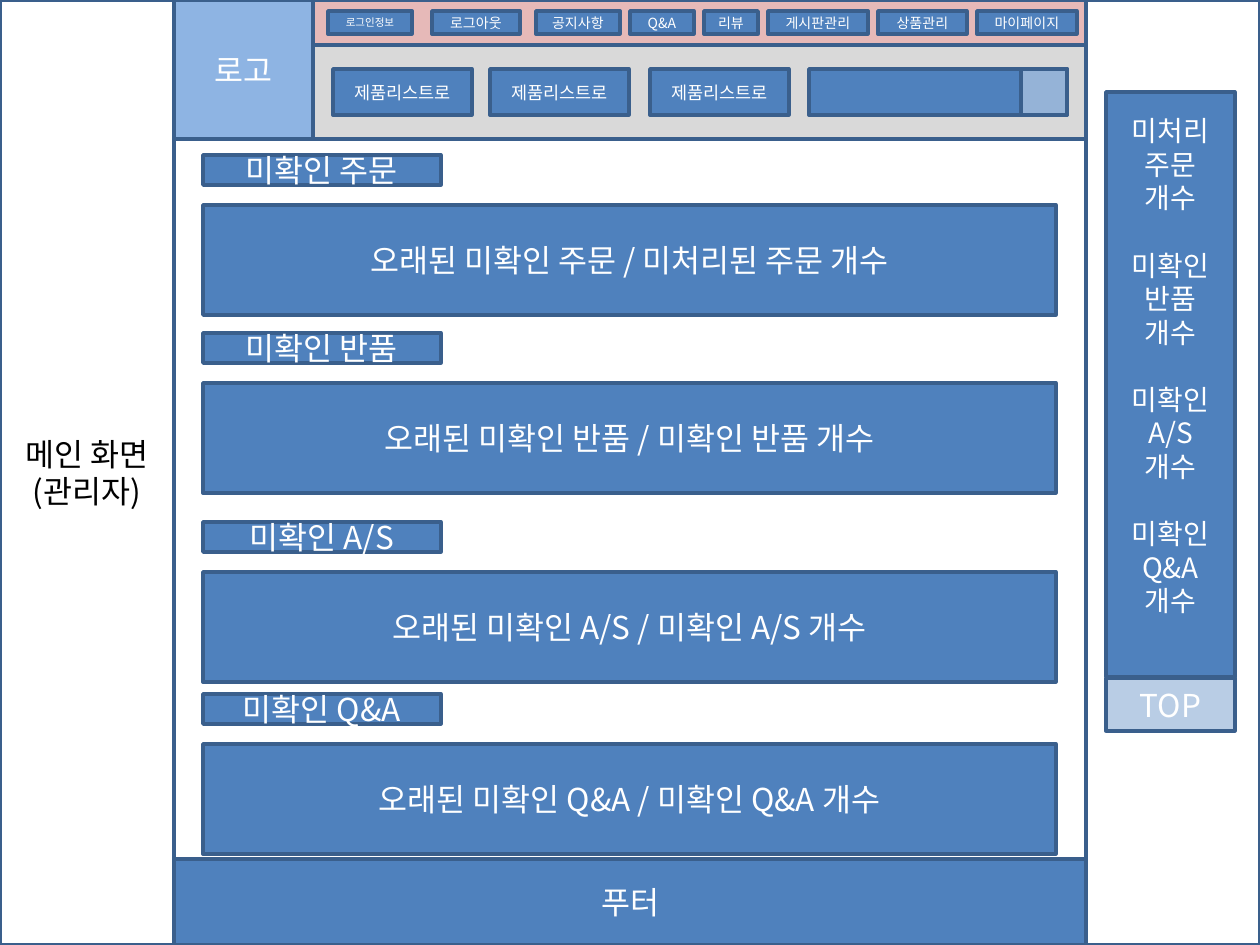
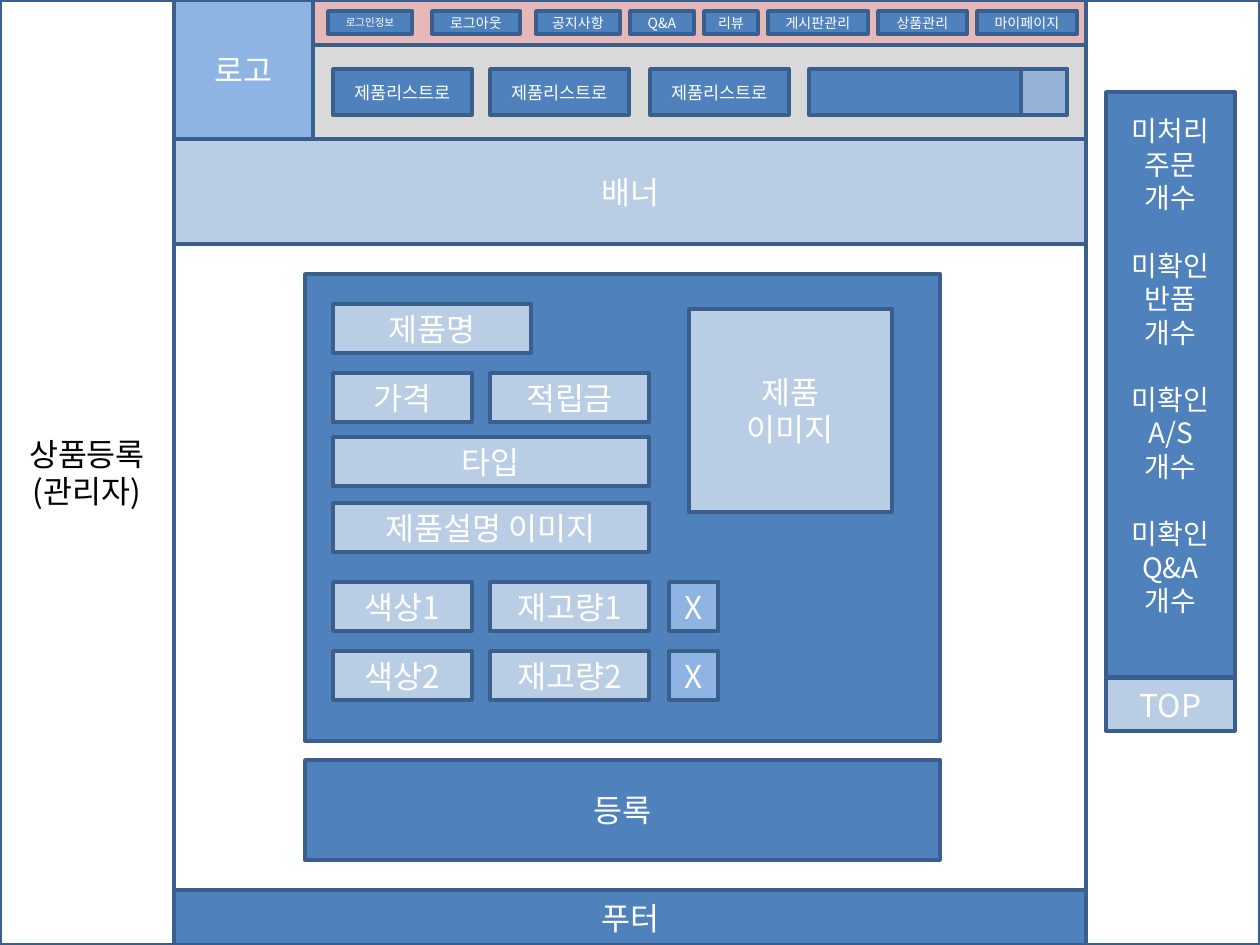
"""Build two wireframe slides for the administrator pages of an online shop."""
from dataclasses import dataclass

from lxml import etree
from pptx import Presentation
from pptx.dml.color import RGBColor
from pptx.enum.shapes import MSO_SHAPE
from pptx.enum.text import MSO_ANCHOR, PP_ALIGN
from pptx.oxml.ns import qn
from pptx.util import Pt

RECTANGLE = MSO_SHAPE.RECTANGLE
MIDDLE = MSO_ANCHOR.MIDDLE
CENTER = PP_ALIGN.CENTER
EMU_PER_PIXEL = 914400 / 126


@dataclass(frozen=True)
class Theme:
    font: str = "Noto Sans CJK KR"
    white: str = "FFFFFF"
    ink: str = "000000"
    outline: str = "3A5F8C"
    blue: str = "4F81BD"
    sky: str = "8EB4E3"
    pale: str = "B9CDE5"
    steel: str = "95B3D7"
    gray: str = "D9D9D9"
    pink: str = "E6B9B8"
    body: float = 18
    counter: float = 16
    menu: float = 10
    nav: float = 8
    login: float = 6
    border: float = 2


THEME = Theme()
PAGE_WIDTH, PAGE_HEIGHT = 1260, 945
SIDE_WIDTH = 174
SITE_WIDTH = PAGE_WIDTH - 2 * SIDE_WIDTH
HEADER_HEIGHT = 139
UTILITY_HEIGHT = 45

NAV_START = 328
NAV = [
    ("로그인정보", 84, 20, THEME.login),
    ("로그아웃", 88, 16, THEME.nav),
    ("공지사항", 84, 10, THEME.nav),
    ("Q&A", 64, 10, THEME.nav),
    ("리뷰", 54, 10, THEME.nav),
    ("게시판관리", 100, 10, THEME.nav),
    ("상품관리", 89, 10, THEME.nav),
    ("마이페이지", 100, 0, THEME.nav),
]
MENU = [("제품리스트로", x) for x in (333, 490, 650)]
COUNTERS = ["미처리 주문", "미확인 반품", "미확인 A/S", "미확인 Q&A"]

ORDER_SECTIONS = [
    ("미확인 주문", "오래된 미확인 주문 / 미처리된 주문 개수", 155),
    ("미확인 반품", "오래된 미확인 반품 / 미확인 반품 개수", 333),
    ("미확인 A/S", "오래된 미확인 A/S / 미확인 A/S 개수", 522),
    ("미확인 Q&A", "오래된 미확인 Q&A / 미확인 Q&A 개수", 694),
]

FIELD_HEIGHT = 49
FIRST, SECOND, THIRD = 333, 490, 669
FORM_ROWS = [
    (304, [("제품명", FIRST, 198, THEME.pale)]),
    (373, [("가격", FIRST, 139, THEME.pale), ("적립금", SECOND, 159, THEME.pale)]),
    (437, [("타입", FIRST, 316, THEME.pale)]),
    (503, [("제품설명 이미지", FIRST, 316, THEME.pale)]),
] + [
    (y, [(f"색상{number}", FIRST, 139, THEME.pale),
         (f"재고량{number}", SECOND, 159, THEME.pale),
         ("X", THIRD, FIELD_HEIGHT, THEME.sky)])
    for number, y in ((1, 582), (2, 651))
]


def px(length):
    return round(length * EMU_PER_PIXEL)


def write(paragraph, text, size, color):
    paragraph.alignment = CENTER
    run = paragraph.add_run()
    run.text = text
    run.font.size = Pt(size)
    run.font.name = THEME.font
    run.font.color.rgb = RGBColor.from_string(color)
    east_asian = etree.SubElement(run.font._element, qn("a:ea"))
    east_asian.set("typeface", THEME.font)


def box(slide, area, fill, lines=(), size=THEME.body, color=THEME.white):
    shape = slide.shapes.add_shape(RECTANGLE, *map(px, area))
    shape.shadow.inherit = False
    shape.fill.solid()
    shape.fill.fore_color.rgb = RGBColor.from_string(fill)
    shape.line.color.rgb = RGBColor.from_string(THEME.outline)
    shape.line.width = Pt(THEME.border)
    frame = shape.text_frame
    frame.word_wrap = True
    frame.vertical_anchor = MIDDLE
    for index, line in enumerate(lines):
        paragraph = frame.add_paragraph() if index else frame.paragraphs[0]
        write(paragraph, line, size, color)
    return frame


def add_header(slide):
    box(slide, (SIDE_WIDTH, 0, SITE_WIDTH, HEADER_HEIGHT), THEME.gray)
    box(slide, (SIDE_WIDTH, 0, HEADER_HEIGHT, HEADER_HEIGHT), THEME.sky, ["로고"])
    box(slide, (SIDE_WIDTH + HEADER_HEIGHT, 0, SITE_WIDTH - HEADER_HEIGHT, UTILITY_HEIGHT),
        THEME.pink)
    x = NAV_START
    for label, width, gap, size in NAV:
        box(slide, (x, 11, width, 23), THEME.blue, [label], size)
        x += width + gap
    for label, left in MENU:
        box(slide, (left, 69, 139, 46), THEME.blue, [label], THEME.menu)
    box(slide, (809, 69, 258, 46), THEME.blue)
    box(slide, (1021, 69, 46, 46), THEME.steel)


def add_counters(slide):
    lines = [line for name in COUNTERS for line in (name, "개수")]
    frame = box(slide, (1106, 92, 129, 585), THEME.blue, lines, THEME.counter)
    for paragraph in frame.paragraphs[2::2]:
        paragraph.space_before = Pt(THEME.counter * 1.2)
    frame.margin_bottom += Pt(THEME.body * 1.2)
    box(slide, (1106, 678, 129, 53), THEME.pale, ["TOP"])


def add_page(deck, title, footer_top):
    slide = deck.slides.add_slide(deck.slide_layouts[6])
    box(slide, (PAGE_WIDTH - SIDE_WIDTH, 0, SIDE_WIDTH, PAGE_HEIGHT), THEME.white)
    box(slide, (0, 0, SIDE_WIDTH, PAGE_HEIGHT), THEME.white, [title], color=THEME.ink)
    add_header(slide)
    add_counters(slide)
    box(slide, (SIDE_WIDTH, footer_top, SITE_WIDTH, PAGE_HEIGHT - footer_top),
        THEME.blue, ["푸터"])
    return slide


def add_main_page(deck):
    slide = add_page(deck, "메인 화면(관리자)", 859)
    for heading, summary, y in ORDER_SECTIONS:
        box(slide, (203, y, 238, 30), THEME.blue, [heading])
        box(slide, (203, y + 50, 853, 110), THEME.blue, [summary])


def add_product_page(deck):
    slide = add_page(deck, "상품등록(관리자)", 890)
    box(slide, (SIDE_WIDTH, HEADER_HEIGHT, SITE_WIDTH, 105), THEME.pale, ["배너"])
    box(slide, (305, 274, 635, 467), THEME.blue)
    box(slide, (305, 760, 635, 100), THEME.blue, ["등록"])
    for y, fields in FORM_ROWS:
        for label, x, width, fill in fields:
            box(slide, (x, y, width, FIELD_HEIGHT), fill, [label])
    box(slide, (689, 309, 203, 203), THEME.pale, ["제품", "이미지"])


deck = Presentation()
deck.slide_width, deck.slide_height = px(PAGE_WIDTH), px(PAGE_HEIGHT)
add_main_page(deck)
add_product_page(deck)
deck.save("out.pptx")
